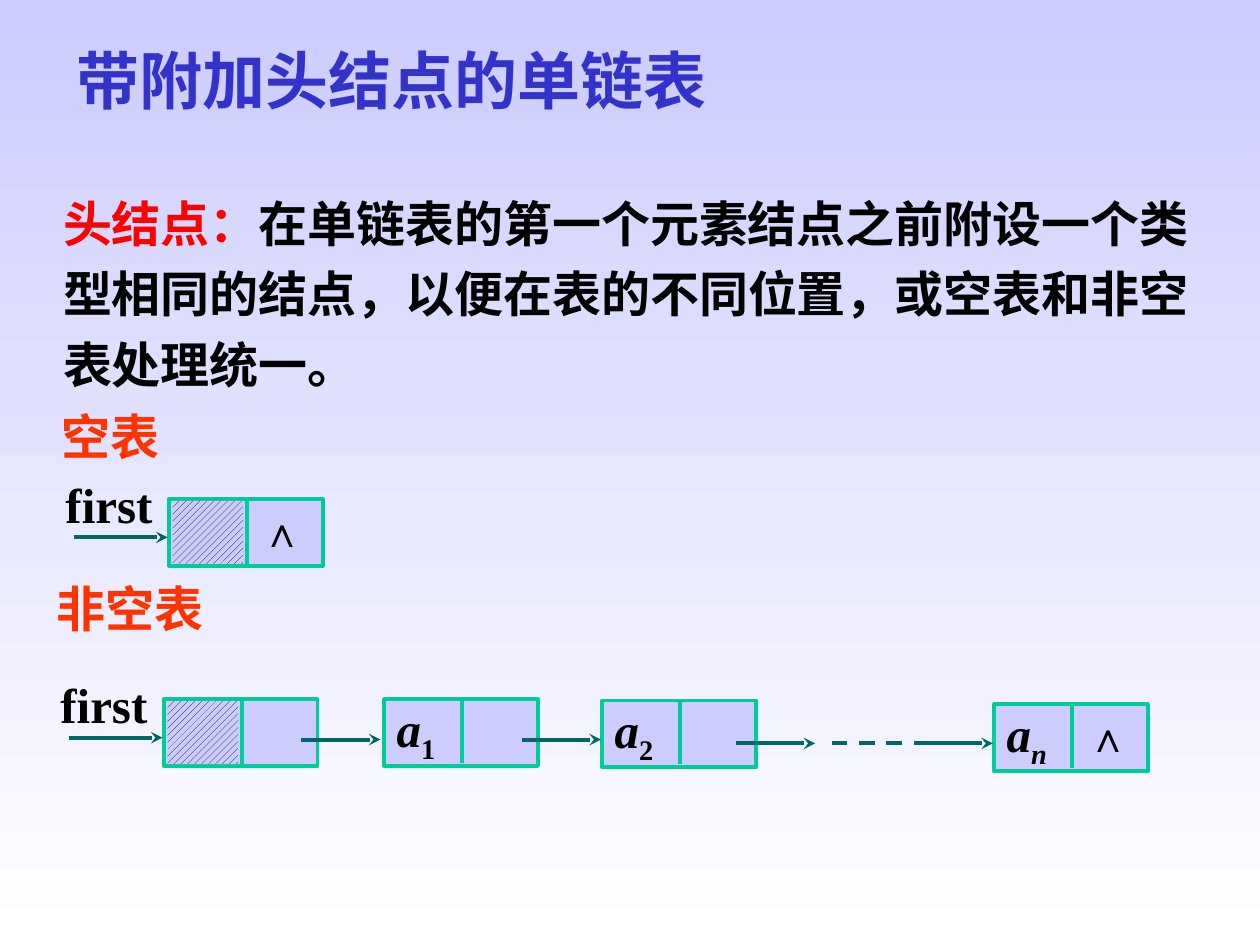
from dataclasses import dataclass

from lxml.etree import SubElement
from pptx import Presentation
from pptx.dml.color import RGBColor
from pptx.enum.dml import MSO_LINE, MSO_PATTERN
from pptx.enum.shapes import MSO_CONNECTOR, MSO_SHAPE
from pptx.enum.text import MSO_ANCHOR, MSO_AUTO_SIZE, PP_ALIGN
from pptx.oxml.ns import qn
from pptx.util import Inches, Pt

CELL = Inches(0.1)
NODE_WIDTH, NODE_HEIGHT = 12.2, 5.3
LINK_LENGTH = 6.3


@dataclass(frozen=True)
class Theme:
    latin: str = "Times New Roman"
    chinese: str = "Noto Sans CJK SC"
    title_size: int = 36
    text_size: int = 28
    null_size: int = 24
    stroke: float = 2.25
    sky: RGBColor = RGBColor(0xCC, 0xCC, 0xFF)
    white: RGBColor = RGBColor(0xFF, 0xFF, 0xFF)
    title: RGBColor = RGBColor(0x33, 0x33, 0xCC)
    term: RGBColor = RGBColor(0xFF, 0x00, 0x00)
    heading: RGBColor = RGBColor(0xFF, 0x33, 0x00)
    ink: RGBColor = RGBColor(0x00, 0x00, 0x00)
    border: RGBColor = RGBColor(0x00, 0xCC, 0x99)
    arrow: RGBColor = RGBColor(0x00, 0x66, 0x66)


@dataclass(frozen=True)
class Box:
    left: float
    top: float
    width: float
    height: float

    def lengths(self):
        return [round(cells * CELL) for cells in
                (self.left, self.top, self.width, self.height)]

    def inner(self, right, down, width, height):
        return Box(self.left + right, self.top + down, width, height)


THEME = Theme()


def apply_formats(target, formats):
    for attribute, value in formats.items():
        setattr(target, attribute, value)


def add_words(paragraph, words, color, size=THEME.text_size, chinese=False,
              italic=False, lowered=False):
    run = paragraph.add_run()
    run.text = words
    apply_formats(run.font, {"name": THEME.latin, "size": Pt(size),
                             "bold": True, "italic": italic})
    run.font.color.rgb = color
    properties = run.font._element
    if lowered:
        properties.set("baseline", "-25000")
    if chinese:
        SubElement(properties, qn("a:ea")).set("typeface", THEME.chinese)


def prepare_text(holder, insets=(1, 0.5, 1, 0.5), anchor=MSO_ANCHOR.TOP,
                 spacing=1.0):
    left, top, right, bottom = (round(inset * CELL) for inset in insets)
    apply_formats(holder.text_frame, {
        "word_wrap": True, "auto_size": MSO_AUTO_SIZE.NONE,
        "vertical_anchor": anchor, "margin_left": left, "margin_top": top,
        "margin_right": right, "margin_bottom": bottom})
    paragraph = holder.text_frame.paragraphs[0]
    apply_formats(paragraph, {"alignment": PP_ALIGN.LEFT,
                              "line_spacing": spacing, "space_before": Pt(0)})
    return paragraph


def place(holder, box):
    apply_formats(holder, dict(zip(("left", "top", "width", "height"),
                                   box.lengths())))


def add_label(slide, box, words, color, insets=(1, 0.5, 1, 0.5), **formats):
    label = slide.shapes.add_textbox(*box.lengths())
    add_words(prepare_text(label, insets), words, color, **formats)


def add_stroke(slide, start, right=0, down=0, color=THEME.arrow,
               dashed=False, arrow=False):
    left, top = start
    ends = (left, top, left + right, top + down)
    stroke = slide.shapes.add_connector(
        MSO_CONNECTOR.STRAIGHT, *(round(end * CELL) for end in ends))
    stroke.line.color.rgb = color
    stroke.line.width = Pt(THEME.stroke)
    if dashed:
        stroke.line.dash_style = MSO_LINE.DASH
    if arrow:
        outline = stroke.line._get_or_add_ln()
        SubElement(outline, qn("a:tailEnd")).set("type", "stealth")
    SubElement(stroke._element.spPr, qn("a:effectLst"))


def add_rectangle(slide, box):
    rectangle = slide.shapes.add_shape(MSO_SHAPE.RECTANGLE, *box.lengths())
    rectangle.shadow.inherit = False
    return rectangle


def add_node(slide, box, subscript=None, null=False):
    node = add_rectangle(slide, box)
    node.fill.solid()
    node.fill.fore_color.rgb = THEME.sky
    node.line.color.rgb = THEME.border
    node.line.width = Pt(THEME.stroke)
    if subscript:
        datum = prepare_text(node, (1, 0, 0, 0.8), spacing=0.9)
        add_words(datum, "a", THEME.ink, italic=True)
        add_words(datum, subscript, THEME.ink, italic=subscript.isalpha(),
                  lowered=True)
    else:
        hatch = add_rectangle(slide, box.inner(0.3, 0.15, 5.6, 5))
        hatch.fill.patterned()
        hatch.fill.pattern = MSO_PATTERN.WIDE_UPWARD_DIAGONAL
        hatch.fill.fore_color.rgb = THEME.ink
        hatch.fill.back_color.rgb = THEME.sky
        hatch.line.fill.background()
    divider = box.height * (0.95 if subscript else 1)
    add_stroke(slide, (box.left + 6.2, box.top), down=divider,
               color=THEME.border)
    if null:
        add_label(slide, box.inner(6.4, 0, 5.7, 4.9), "∧", THEME.ink,
                  (1, 0.5, 1, 0.4), size=THEME.null_size)


def add_head(slide, box, null=False):
    add_node(slide, box, null=null)
    add_label(slide, box.inner(-8.2, -1.95, 8.3, 5.1), "first", THEME.ink,
              (0, 0, 0, 0.4))
    add_stroke(slide, (box.left - 7.55, box.top + 3.05), right=7.45,
               arrow=True)


def add_title(slide, box):
    place(slide.shapes.title, box)
    paragraph = prepare_text(slide.shapes.title, anchor=MSO_ANCHOR.MIDDLE)
    add_words(paragraph, "带附加头结点的单链表", THEME.title,
              THEME.title_size, chinese=True)


def add_definition(slide, box):
    definition = slide.placeholders[1]
    place(definition, box)
    paragraph = prepare_text(definition, spacing=1.2)
    properties = paragraph._p.get_or_add_pPr()
    for attribute in ("marL", "indent"):
        properties.set(attribute, "0")
    SubElement(properties, qn("a:buNone"))
    add_words(paragraph, "头结点：", THEME.term, chinese=True)
    add_words(paragraph, "在单链表的第一个元素结点之前附设一个类型相同的结点，"
              "以便在表的不同位置，或空表和非空表处理统一。",
              THEME.ink, chinese=True)


def add_empty_list(slide, box):
    add_label(slide, box.inner(0, 0, 26.7, 5.7), "空表", THEME.heading,
              chinese=True)
    add_head(slide, box.inner(9.5, 7.8, NODE_WIDTH, NODE_HEIGHT), null=True)


def add_filled_list(slide, box):
    add_label(slide, box.inner(0, 0, 26.7, 5.7), "非空表", THEME.heading,
              chinese=True)
    add_head(slide, box.inner(9.5, 10.1, NODE_WIDTH, NODE_HEIGHT))
    for subscript, right, down in (("1", 27, 10.1), ("2", 44.3, 10.2),
                                   ("n", 75.4, 10.5)):
        add_node(slide, box.inner(right, down, NODE_WIDTH, NODE_HEIGHT),
                 subscript, null=subscript == "n")
    for right, down in ((20.4, 13.3), (37.9, 13.3), (54.9, 13.6), (69, 13.6)):
        add_stroke(slide, (box.left + right, box.top + down),
                   right=LINK_LENGTH, arrow=True)
    add_stroke(slide, (box.left + 62.5, box.top + 13.6), right=6.1,
               dashed=True)


def paint_background(slide):
    fill = slide.background.fill
    fill.gradient()
    fill.gradient_angle = 270
    for stop, color in zip(fill.gradient_stops, (THEME.sky, THEME.white)):
        stop.color.rgb = color


def main():
    presentation = Presentation()
    presentation.slide_width = 100 * CELL
    presentation.slide_height = 75 * CELL
    slide = presentation.slides.add_slide(presentation.slide_layouts[1])
    paint_background(slide)
    add_definition(slide, Box(4, 13.9, 92.5, 17.8))
    add_title(slide, Box(5.1, 2.8, 79.2, 7))
    add_filled_list(slide, Box(3.5, 45.4, 88, 16))
    add_empty_list(slide, Box(3.9, 31.8, 27, 13.1))
    presentation.save("out.pptx")


if __name__ == "__main__":
    main()
